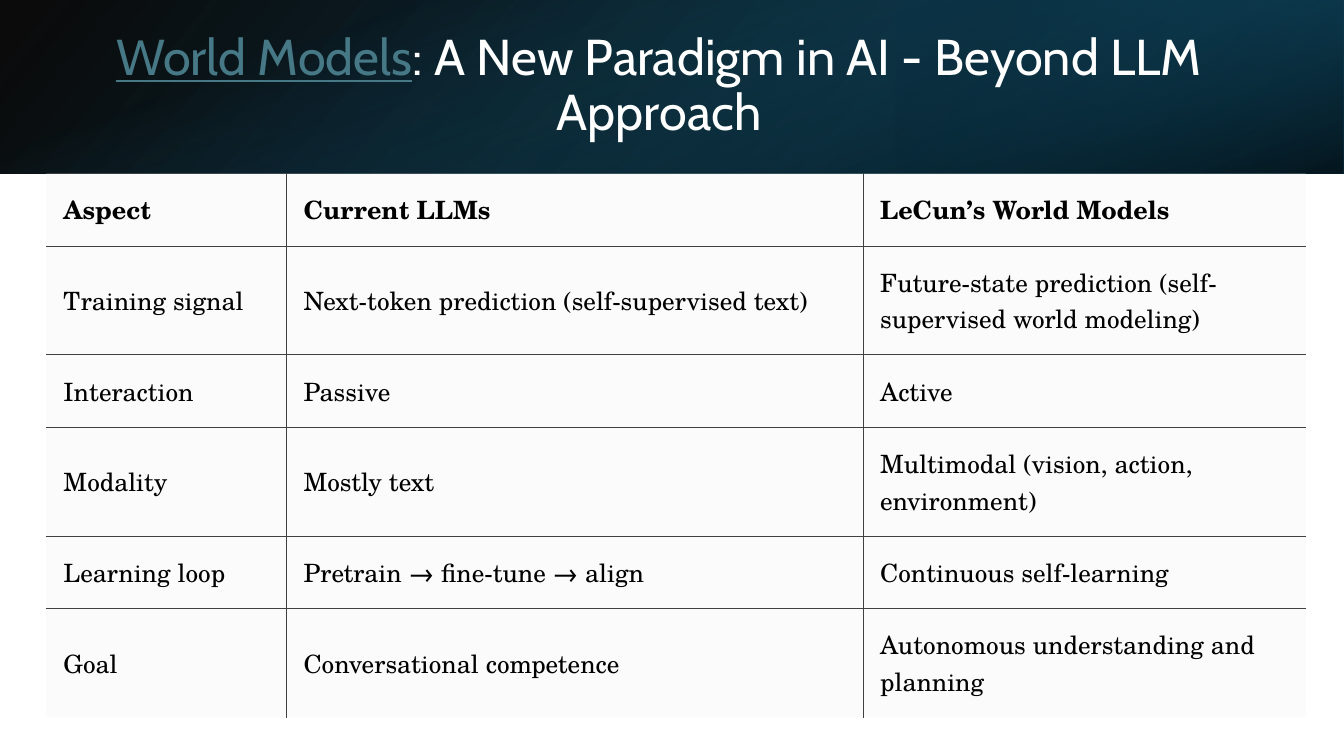
from lxml import etree
from pptx import Presentation
from pptx.dml.color import RGBColor
from pptx.enum.shapes import MSO_SHAPE
from pptx.enum.text import MSO_ANCHOR, PP_ALIGN
from pptx.oxml.ns import qn
from pptx.util import Cm, Pt

RECTANGLE = MSO_SHAPE.RECTANGLE
MIDDLE = MSO_ANCHOR.MIDDLE
CENTER = PP_ALIGN.CENTER

WIDTH, HEIGHT, BANNER = 33.87, 19.05, 4.37
COLORS = {
    "black": "000000", "white": "FFFFFF", "navy": "104862", "deep": "0B3041",
    "teal": "156082", "link": "467886", "rule": "404040", "cell": "F2F2F2",
}
COMPARISON = [
    ("Aspect", "Current LLMs", "LeCun’s World Models"),
    ("Training signal", "Next-token prediction (self-supervised text)",
     "Future-state prediction (self-supervised world modeling)"),
    ("Interaction", "Passive", "Active"),
    ("Modality", "Mostly text", "Multimodal (vision, action, environment)"),
    ("Learning loop", "Pretrain → fine-tune → align", "Continuous self-learning"),
    ("Goal", "Conversational competence", "Autonomous understanding and planning"),
]


class SlideBuilder:
    title_font = "Cabin"
    table_font = "TeX Gyre Schola"

    def __init__(self, slide):
        self.slide = slide

    def color(self, name):
        return RGBColor.from_string(COLORS[name])

    def set_opacity(self, color_element, percent):
        etree.SubElement(color_element, qn("a:alpha"), val=str(percent * 1000))

    def add_run(self, paragraph, text, font, size, color, bold=False, underline=False):
        run = paragraph.add_run()
        run.text = text
        run.font.name = font
        run.font.size = Pt(size)
        run.font.bold = bold
        run.font.underline = underline
        run.font.color.rgb = self.color(color)

    def add_gradient(self, box, stops, angle, rotation=0, mirrored=False):
        panel = self.slide.shapes.add_shape(RECTANGLE, *map(Cm, box))
        panel.shadow.inherit = False
        panel.rotation = rotation
        panel.line.fill.background()
        panel.fill.gradient()
        panel.fill.gradient_angle = 360 - angle
        for stop, (position, color, _) in zip(panel.fill.gradient_stops, stops):
            stop.position = position / 100
            stop.color.rgb = self.color(color)
        properties = panel.element.spPr
        for tint, (_, _, opacity) in zip(properties.iter(qn("a:srgbClr")), stops):
            self.set_opacity(tint, opacity)
        if mirrored:
            properties.find(qn("a:xfrm")).set("flipH", "1")

    def add_title(self, box, parts):
        frame = self.slide.shapes.add_textbox(*map(Cm, box)).text_frame
        frame.word_wrap = True
        frame.vertical_anchor = MIDDLE
        heading = frame.paragraphs[0]
        heading.alignment = CENTER
        heading.line_spacing = 0.9
        for text, color, underline in parts:
            self.add_run(heading, text, self.title_font, 36, color, underline=underline)

    def add_border(self, cell, side, visible):
        border = etree.SubElement(cell._tc.get_or_add_tcPr(), qn(f"a:ln{side}"),
                                  w=str(Pt(0.5)))
        if visible:
            fill = etree.SubElement(border, qn("a:solidFill"))
            etree.SubElement(fill, qn("a:srgbClr"), val=COLORS["rule"])
        else:
            etree.SubElement(border, qn("a:noFill"))

    def style_cell(self, cell, borders):
        cell.vertical_anchor = MIDDLE
        cell.margin_left, cell.margin_right = Cm(0.43), Cm(0.71)
        cell.margin_top = cell.margin_bottom = Cm(0.33)
        for side, visible in borders.items():
            self.add_border(cell, side, visible)
        cell.fill.solid()
        cell.fill.fore_color.rgb = self.color("cell")
        tint = cell._tc.tcPr.find(f"{qn('a:solidFill')}/{qn('a:srgbClr')}")
        self.set_opacity(tint, 30)

    def add_table(self, left, top, widths, heights, rows):
        table = self.slide.shapes.add_table(
            len(rows), len(widths), Cm(left), Cm(top),
            Cm(sum(widths)), Cm(sum(heights))).table
        table.first_row = table.horz_banding = False
        for column, width in zip(table.columns, widths):
            column.width = Cm(width)
        for row, height in zip(table.rows, heights):
            row.height = Cm(height)
        for r, texts in enumerate(rows):
            for c, text in enumerate(texts):
                cell = table.cell(r, c)
                self.style_cell(cell, {
                    "L": c > 0, "R": c < len(widths) - 1,
                    "T": r > 0, "B": r < len(rows) - 1})
                self.add_run(cell.text_frame.paragraphs[0], text,
                             self.table_font, 18, "black", bold=r == 0)


def main():
    presentation = Presentation()
    presentation.slide_width, presentation.slide_height = Cm(WIDTH), Cm(HEIGHT)
    builder = SlideBuilder(presentation.slides.add_slide(presentation.slide_layouts[6]))

    builder.add_gradient((0, 0, WIDTH, BANNER),
                         [(0, "black", 96), (100, "navy", 100)], 140, mirrored=True)
    builder.add_gradient((WIDTH * 2 / 3, 0, WIDTH / 3, BANNER),
                         [(19, "deep", 68), (100, "teal", 79)], 320,
                         rotation=180, mirrored=True)
    offset = (WIDTH - BANNER) / 2
    builder.add_gradient((offset, -offset, BANNER, WIDTH),
                         [(23, "teal", 0), (99, "black", 74)], 340, rotation=90)

    builder.add_title((1.52, 0.97, 30.18, 2.44), [
        ("World Models", "link", True),
        (": A New Paradigm in AI - Beyond LLM Approach", "white", False)])
    builder.add_table(1.17, BANNER, [6.05, 14.53, 11.15], [1.83, 2.74] * 3, COMPARISON)
    presentation.save("out.pptx")


if __name__ == "__main__":
    main()
